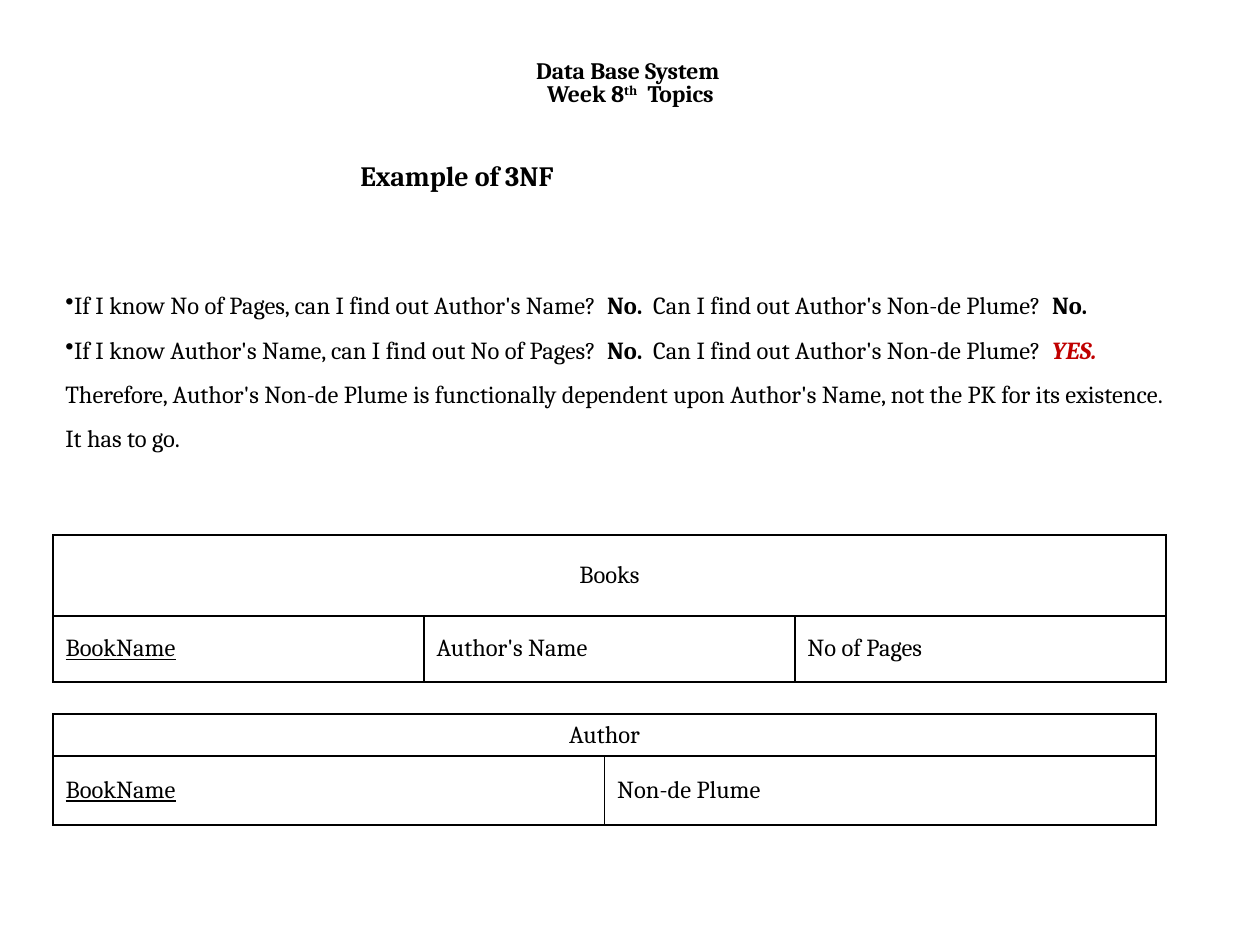
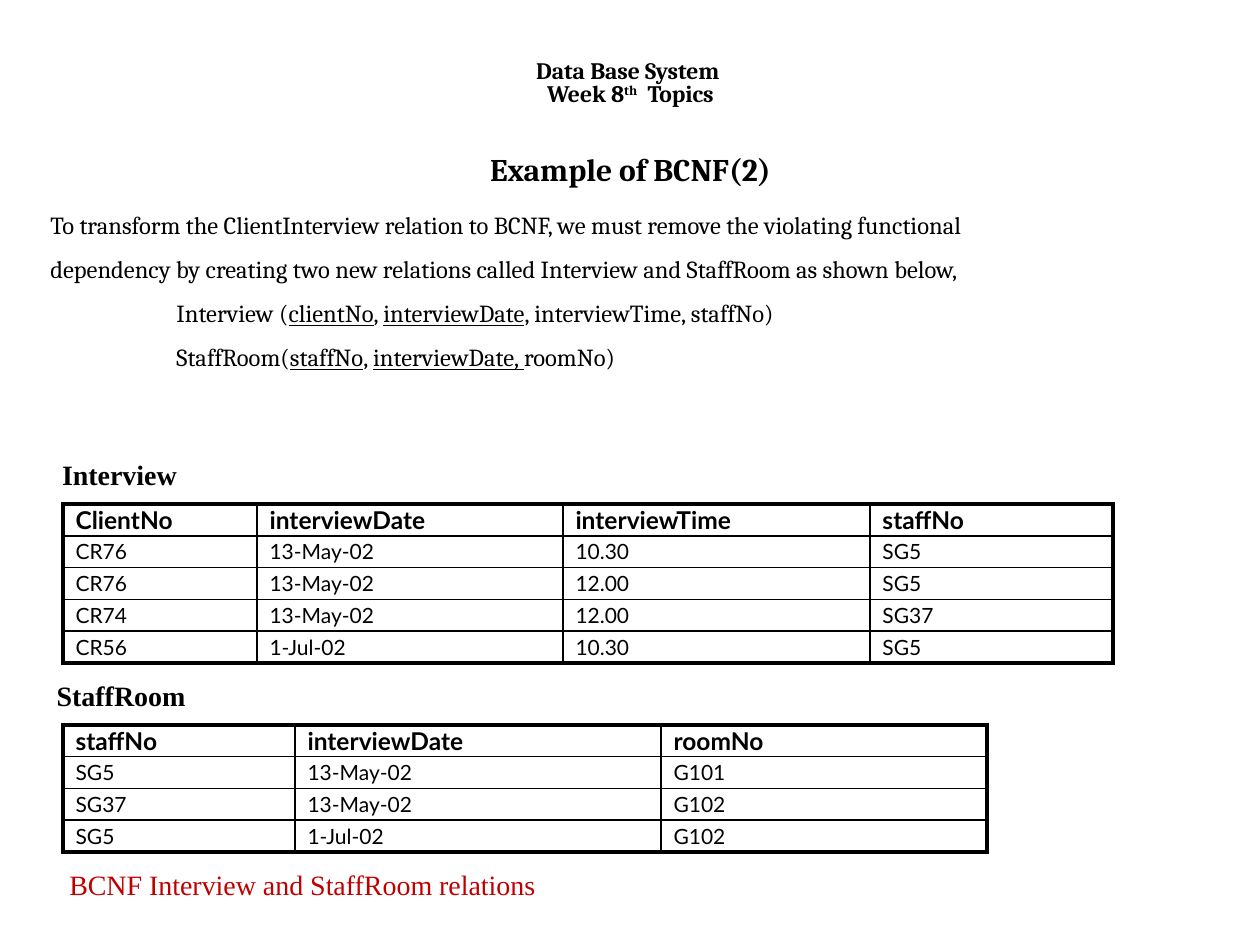
from dataclasses import dataclass
from typing import NamedTuple

from lxml import etree
from pptx import Presentation
from pptx import util as u
from pptx.dml import color
from pptx.enum import text
from pptx.oxml import ns

SCALE = 914400 / 126
CENTER, LEFT = text.PP_ALIGN.CENTER, text.PP_ALIGN.LEFT
MIDDLE, TOP = text.MSO_ANCHOR.MIDDLE, text.MSO_ANCHOR.TOP


class Box(NamedTuple):
    """A rectangle in pixels."""

    left: int
    top: int
    width: int
    height: int


class Style(NamedTuple):
    """The type of a paragraph."""

    font: str
    size: float
    bold: bool = False
    ink: str = "000000"


@dataclass(frozen=True)
class Theme:
    """Colours, line widths and type styles of the deck."""

    ink: str = "000000"
    accent: str = "C00000"
    thin: float = 1
    thick: float = 2.25
    header: Style = Style("Cambria", 13.5, True)
    title: Style = Style("Cambria", 16, True)
    large_title: Style = Style("Cambria", 18, True)
    body: Style = Style("Cambria", 14)
    label: Style = Style("Times New Roman", 16, True)
    caption: Style = Style("Times New Roman", 16, False, "C00000")
    column_head: Style = Style("Lato", 14, True)
    column_data: Style = Style("Lato", 12)


THEME = Theme()


def px(length):
    """Turn pixels into EMU."""
    return u.Emu(round(length * SCALE))


def add_span(para, content):
    """Add one run, given as plain text or as (text, marks)."""
    words, marks = (content, ()) if isinstance(content, str) else content
    span = para.add_run()
    span.text = words
    for mark in marks:
        if mark == "accent":
            span.font.color.rgb = color.RGBColor.from_string(THEME.accent)
        elif mark == "raised":
            span.font._element.set("baseline", "30000")
        else:
            setattr(span.font, mark, True)


def write(para, spans, style, align=LEFT, spacing=None):
    """Fill a paragraph with spans; None is a line break."""
    para.alignment = align
    para.line_spacing = spacing
    para.font.name = style.font
    para.font.size = u.Pt(style.size)
    para.font.bold = style.bold
    para.font.color.rgb = color.RGBColor.from_string(style.ink)
    for content in spans:
        if content is None:
            para.add_line_break()
        else:
            add_span(para, content)


def indent(para, margin, bullet=None):
    """Set the left margin of a paragraph and its bullet."""
    props = para._p.get_or_add_pPr()
    props.set("marL", str(px(margin)))
    props.set("indent", "0")
    if bullet:
        mark = etree.Element(ns.qn("a:buChar"), char=bullet)
        props.find(ns.qn("a:defRPr")).addprevious(mark)


def add_text(page, box, paragraphs, style, align=LEFT, spacing=None, anchor=TOP):
    """Place a text box and return its paragraphs."""
    frame = page.shapes.add_textbox(*map(px, box)).text_frame
    frame.word_wrap = True
    frame.vertical_anchor = anchor
    for number, spans in enumerate(paragraphs):
        para = frame.add_paragraph() if number else frame.paragraphs[0]
        write(para, spans, style, align, spacing)
    return frame.paragraphs


def add_header(page, box):
    """Place the course header."""
    spans = ["Data Base System ", None, "Week 8", ("th", ["raised"]), "\u00a0 Topics"]
    add_text(page, box, [spans], THEME.header, CENTER, 0.8, MIDDLE)


def add_border(cell, widths):
    """Draw the left, right, top and bottom lines of a cell."""
    props = cell._tc.get_or_add_tcPr()
    for place, (side, width) in enumerate(zip("LRTB", widths)):
        line = etree.Element(ns.qn(f"a:ln{side}"), w=str(u.Pt(width)))
        fill = etree.SubElement(line, ns.qn("a:solidFill"))
        etree.SubElement(fill, ns.qn("a:srgbClr"), val=THEME.ink)
        props.insert(place, line)


def add_grid(page, box, columns, rows, outline):
    """Place an unfilled table with thin inner lines and the given outline."""
    table = page.shapes.add_table(len(rows), len(columns), *map(px, box)).table
    table.first_row = table.horz_banding = False
    for column, width in zip(table.columns, columns):
        column.width = px(width)
    for row, height in zip(table.rows, rows):
        row.height = px(height)
    for r in range(len(rows)):
        for c in range(len(columns)):
            cell = table.cell(r, c)
            cell.fill.background()
            cell.vertical_anchor = MIDDLE
            edges = c == 0, c == len(columns) - 1, r == 0, r == len(rows) - 1
            add_border(cell, [outline if edge else THEME.thin for edge in edges])
    return table


def add_schema(page, box, name, fields, name_height):
    """Place a relation schema: its name over its fields, the key first."""
    columns = [box.width / len(fields)] * len(fields)
    rows = [name_height, box.height - name_height]
    table = add_grid(page, box, columns, rows, THEME.thin)
    table.cell(0, 0).merge(table.cell(0, len(fields) - 1))
    write(table.cell(0, 0).text_frame.paragraphs[0], [name], THEME.body, CENTER)
    for c, field in enumerate(fields):
        span = field if c else (field, ["underline"])
        write(table.cell(1, c).text_frame.paragraphs[0], [span], THEME.body)


def add_relation(page, box, columns, records):
    """Place a relation with a bold heading row and a thick outline."""
    rows = [box.height / len(records)] * len(records)
    table = add_grid(page, box, columns, rows, THEME.thick)
    for r, record in enumerate(records):
        for c, value in enumerate(record):
            cell = table.cell(r, c)
            cell.margin_top = cell.margin_bottom = 0
            style = THEME.column_data if r else THEME.column_head
            write(cell.text_frame.paragraphs[0], [value], style)


def add_third_form(page, box):
    """Build the slide on third normal form."""
    def place(left, top, width, height):
        return Box(box.left + left, box.top + top, width, height)

    no = ("No.", ["bold"])
    plume = "\u00a0 Can I find out Author's Non-de Plume?\u00a0 "
    paragraphs = [
        ["If I know No of Pages, can I find out Author's Name?\u00a0 ", no, plume, no],
        ["If I know Author's Name, can I find out No of Pages?\u00a0 ", no, plume,
         ("YES.", ["bold", "italic", "accent"])],
        ["Therefore, Author's Non-de Plume is functionally dependent upon Author's "
         "Name, not the PK for its existence.\u00a0 It has to go."],
    ]
    add_schema(page, place(53, 535, 1113, 147), "Books",
               ["BookName", "Author's Name", "No of Pages"], 81)
    questions = add_text(page, place(53, 224, 1144, 280), paragraphs,
                         THEME.body, LEFT, 1.5, MIDDLE)
    for para in questions[:2]:
        indent(para, 0, "•")
    add_schema(page, place(53, 714, 1103, 111), "Author",
               ["BookName", "Non-de Plume"], 42)
    add_text(page, place(63, 158, 788, 35), [["Example of 3NF"]],
             THEME.title, CENTER, None, MIDDLE)
    add_header(page, place(95, 53, 1071, 63))


def add_boyce_codd(page, box):
    """Build the slide on Boyce-Codd normal form."""
    def place(left, top, width, height):
        return Box(box.left + left, box.top + top, width, height)

    def key(name):
        return name, ["underline"]

    paragraphs = [
        ["To transform the ClientInterview relation to BCNF, we must remove the "
         "violating functional dependency by creating two new relations called "
         "Interview and StaffRoom as shown below,"],
        ["Interview (", key("clientNo"), ", ", key("interviewDate"),
         ", interviewTime, staffNo)"],
        ["StaffRoom(", key("staffNo"), ", ", key("interviewDate, "), "roomNo)"],
    ]
    interviews = [
        ["ClientNo", "interviewDate", "interviewTime", "staffNo"],
        ["CR76", "13-May-02", "10.30", "SG5"],
        ["CR76", "13-May-02", "12.00", "SG5"],
        ["CR74", "13-May-02", "12.00", "SG37"],
        ["CR56", "1-Jul-02", "10.30", "SG5"],
    ]
    rooms = [
        ["staffNo", "interviewDate", "roomNo"],
        ["SG5", "13-May-02", "G101"],
        ["SG37", "13-May-02", "G102"],
        ["SG5", "1-Jul-02", "G102"],
    ]
    add_text(page, place(95, 139, 1071, 60), [["Example of BCNF(2)"]],
             THEME.large_title, CENTER, None, MIDDLE)
    explanation = add_text(page, place(38, 189, 1012, 236), paragraphs,
                           THEME.body, LEFT, 1.5)
    for para in explanation[1:]:
        indent(para, 126)
    add_relation(page, place(63, 504, 1050, 159), [194, 306, 307, 243], interviews)
    add_relation(page, place(63, 725, 924, 127), [232, 366, 326], rooms)
    add_text(page, place(49, 451, 141, 47), [["Interview"]], THEME.label, CENTER)
    add_text(page, place(42, 672, 158, 47), [["StaffRoom"]], THEME.label, CENTER)
    add_text(page, place(53, 861, 499, 47),
             [["BCNF Interview and StaffRoom relations"]], THEME.caption, CENTER)
    add_header(page, place(95, 53, 1071, 63))


def main():
    """Build and save the deck."""
    deck = Presentation()
    whole = Box(0, 0, 1260, 945)
    deck.slide_width, deck.slide_height = px(whole.width), px(whole.height)
    for build in (add_third_form, add_boyce_codd):
        build(deck.slides.add_slide(deck.slide_layouts[6]), whole)
    deck.save("out.pptx")


main()
